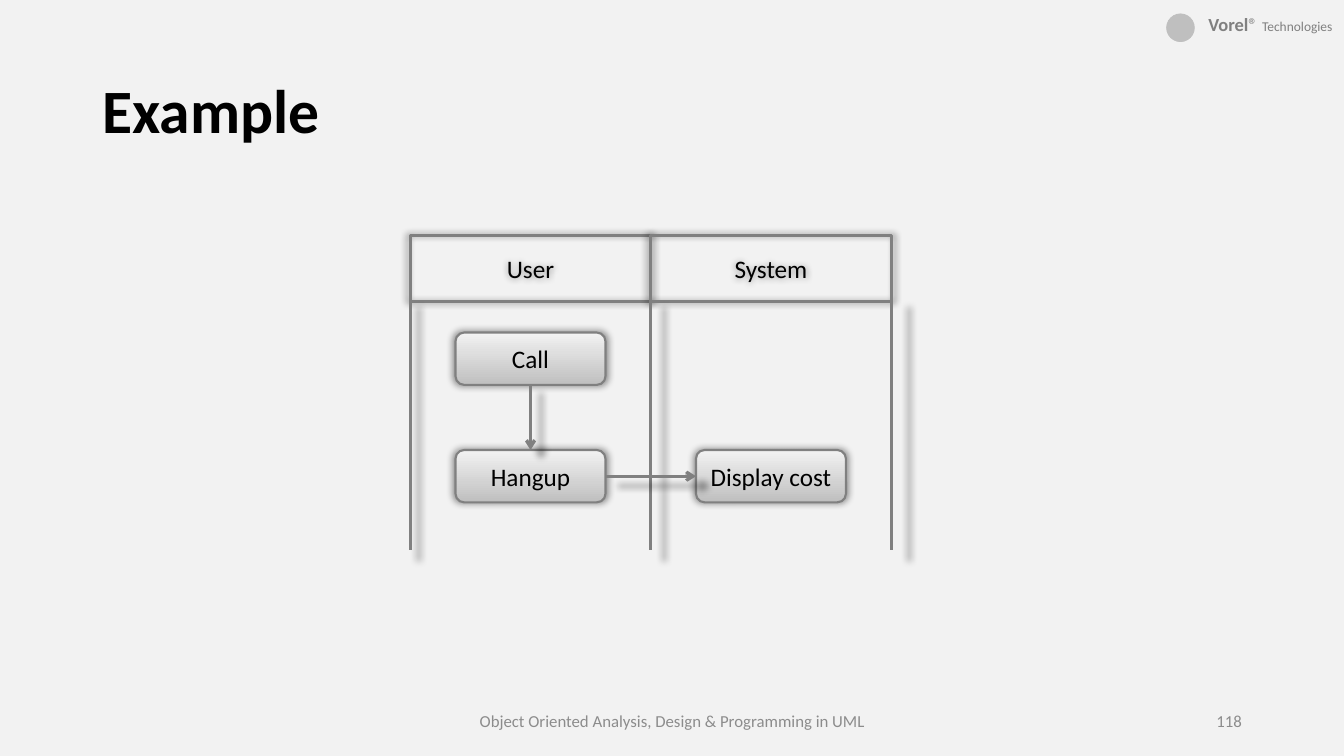
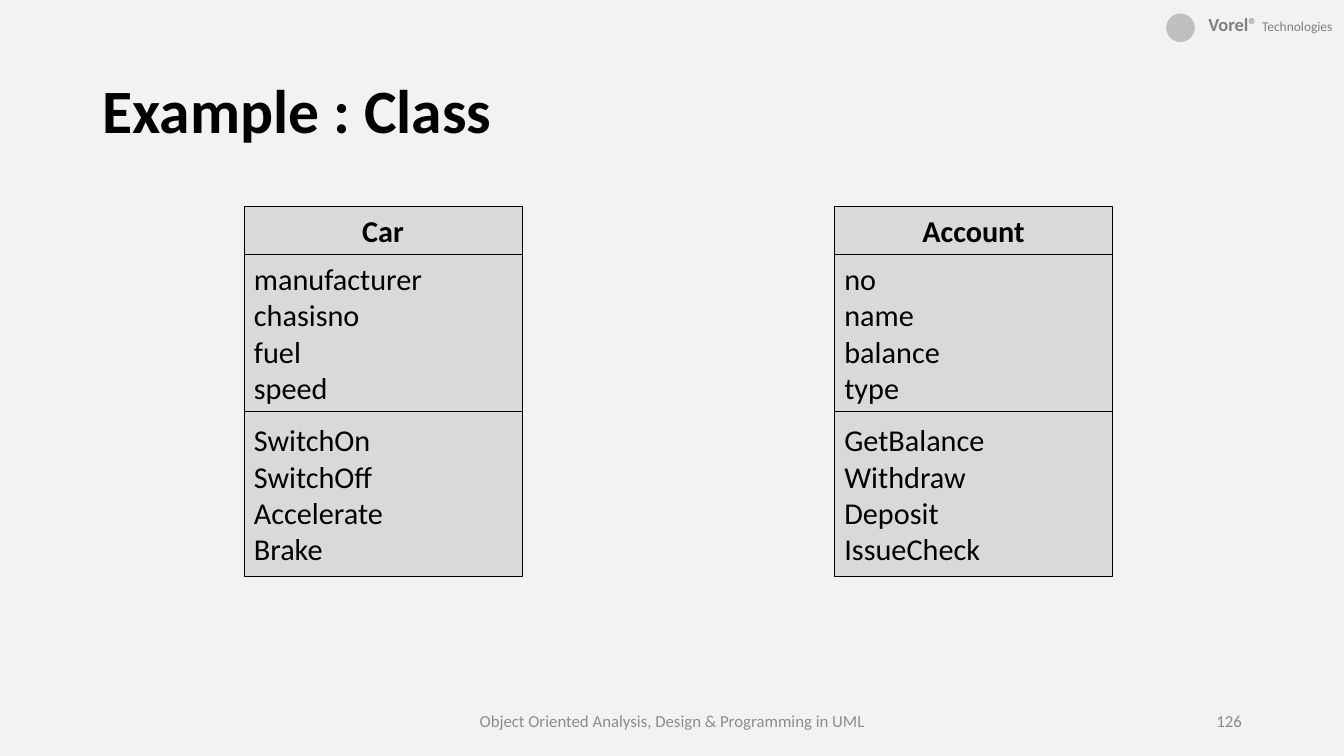
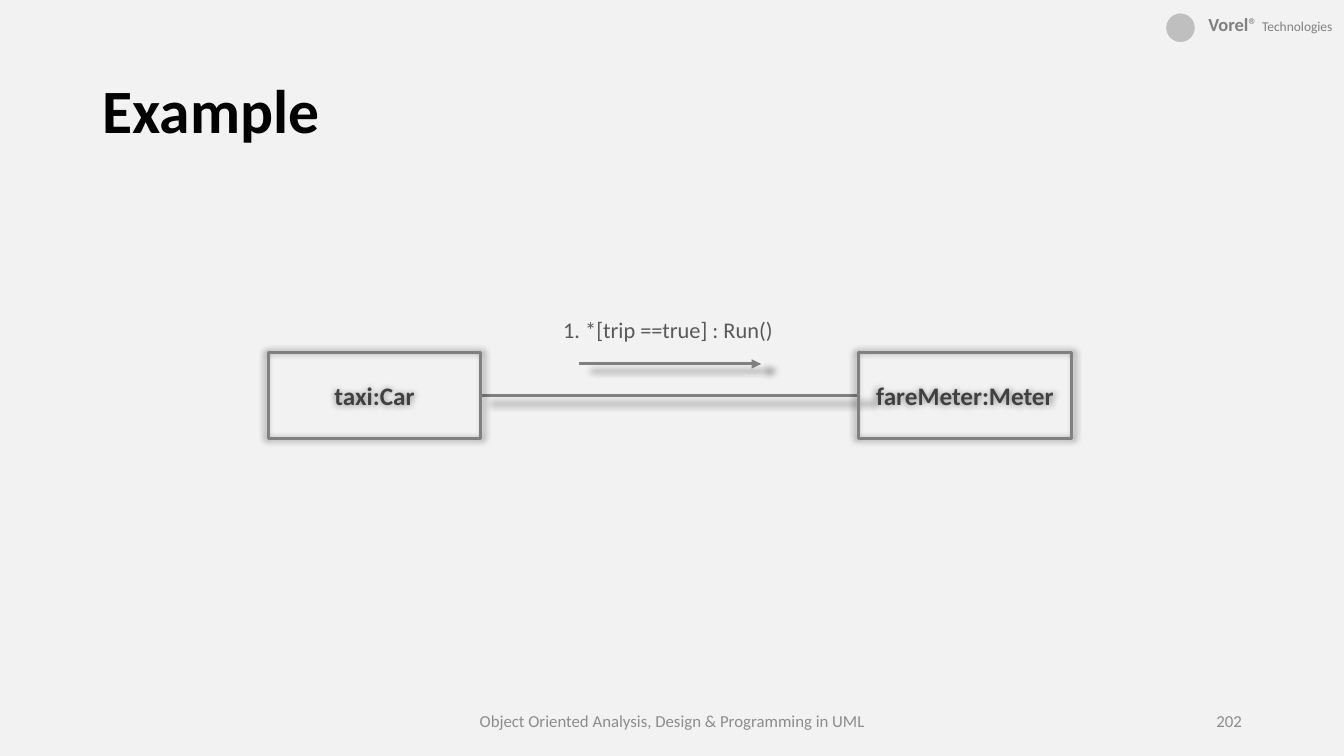
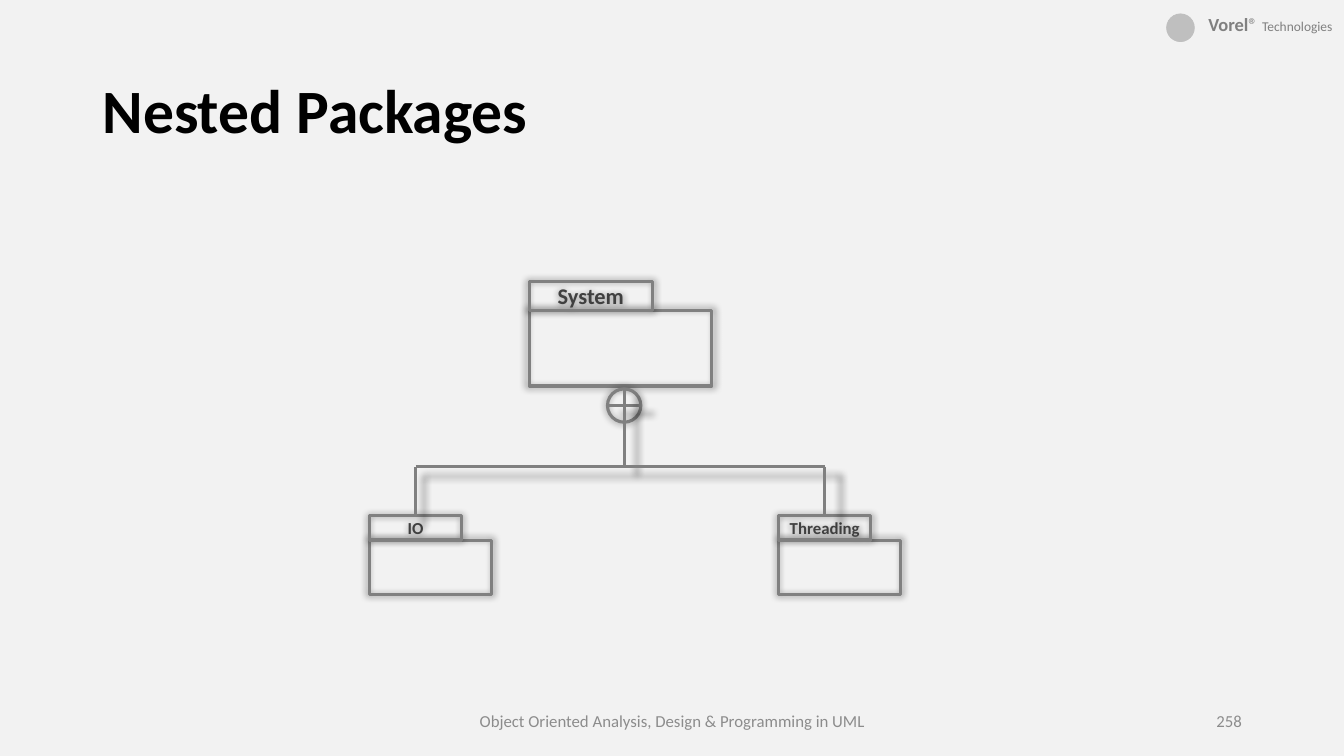
from dataclasses import dataclass
from typing import Optional

from lxml.etree import SubElement
from pptx import Presentation
from pptx.dml.color import RGBColor
from pptx.enum.shapes import MSO_CONNECTOR, MSO_SHAPE
from pptx.enum.text import MSO_ANCHOR, PP_ALIGN
from pptx.oxml.ns import qn
from pptx.util import Cm, Pt

FONT = "Calibri"
BLACK = RGBColor(0x00, 0x00, 0x00)
CHARCOAL = RGBColor(0x40, 0x40, 0x40)
LABEL_GREY = RGBColor(0x59, 0x59, 0x59)
LINE_GREY = RGBColor(0x80, 0x80, 0x80)
FOOTER_GREY = RGBColor(0x8C, 0x8C, 0x8C)
SILVER = RGBColor(0xBF, 0xBF, 0xBF)
CLASS_GREY = RGBColor(0xD9, 0xD9, 0xD9)
BACKGROUND = RGBColor(0xF2, 0xF2, 0xF2)

FOOTER = "Object Oriented Analysis, Design & Programming in UML"
LINE_WIDTH = 2.25


@dataclass(frozen=True)
class Box:
    """A rectangle in centimetres."""
    left: float
    top: float
    width: float
    height: float

    @property
    def right(self) -> float:
        return self.left + self.width

    @property
    def bottom(self) -> float:
        return self.top + self.height

    @property
    def centre_x(self) -> float:
        return self.left + self.width / 2

    @property
    def centre_y(self) -> float:
        return self.top + self.height / 2

    def lengths(self) -> tuple:
        return Cm(self.left), Cm(self.top), Cm(self.width), Cm(self.height)


@dataclass(frozen=True)
class ClassDiagram:
    name: str
    left: float
    attributes: str
    operations: str


@dataclass(frozen=True)
class Package:
    name: str
    tab: Box
    body_width: float
    body_height: float
    size: float

    @property
    def body(self) -> Box:
        return Box(self.tab.left, self.tab.bottom, self.body_width, self.body_height)


def add_run(paragraph, text: str, *, size: float, colour: RGBColor, bold: bool = False) -> None:
    run = paragraph.add_run()
    run.text = text
    run.font.name = FONT
    run.font.size = Pt(size)
    run.font.bold = bold
    run.font.color.rgb = colour


def write(frame, text: str, *, size: float = 18, colour: RGBColor = BLACK,
          bold: bool = False, align=PP_ALIGN.CENTER, anchor=MSO_ANCHOR.MIDDLE,
          wrap: bool = True, spacing: float = 1.0) -> None:
    """Fill a text frame, one paragraph for each line of text."""
    frame.word_wrap = wrap
    frame.vertical_anchor = anchor
    for index, line in enumerate(text.split("\n")):
        paragraph = frame.add_paragraph() if index else frame.paragraphs[0]
        paragraph.alignment = align
        paragraph.line_spacing = spacing
        add_run(paragraph, line, size=size, colour=colour, bold=bold)


def add_text(slide, box: Box, text: str, **text_format) -> None:
    write(slide.shapes.add_textbox(*box.lengths()).text_frame, text, **text_format)


def add_soft_shadow(effects) -> None:
    shadow = SubElement(effects, qn("a:outerShdw"), blurRad=str(Pt(5)),
                        sx="102000", sy="102000", algn="ctr", rotWithShape="0")
    colour = SubElement(shadow, qn("a:prstClr"), val="black")
    SubElement(colour, qn("a:alpha"), val="40000")


def add_box(slide, box: Box, text: str = "", *, kind=MSO_SHAPE.RECTANGLE,
            fill: Optional[RGBColor] = None, gradient: bool = False,
            line: RGBColor = LINE_GREY, width: float = LINE_WIDTH,
            shadow: bool = True, **text_format) -> None:
    shape = slide.shapes.add_shape(kind, *box.lengths())
    if gradient:
        shape.fill.gradient()
        shape.fill.gradient_angle = 90
        for stop, colour in zip(shape.fill.gradient_stops, (SILVER, BACKGROUND)):
            stop.color.rgb = colour
    elif fill is not None:
        shape.fill.solid()
        shape.fill.fore_color.rgb = fill
    else:
        shape.fill.background()
    shape.line.color.rgb = line
    shape.line.width = Pt(width)
    shape.shadow.inherit = False
    if shadow:
        add_soft_shadow(shape.element.spPr.find(qn("a:effectLst")))
    if text:
        write(shape.text_frame, text, **text_format)


def add_line(slide, start: tuple[float, float], end: tuple[float, float],
             arrow: str = "") -> None:
    connector = slide.shapes.add_connector(
        MSO_CONNECTOR.STRAIGHT, *(Cm(value) for value in start + end))
    connector.line.color.rgb = LINE_GREY
    connector.line.width = Pt(LINE_WIDTH)
    properties = connector.element.spPr
    if arrow:
        SubElement(properties.find(qn("a:ln")), qn("a:tailEnd"), type=arrow)
    add_soft_shadow(SubElement(properties, qn("a:effectLst")))


def prepare_layout(prs):
    """Set the shared background and title place, and return the layout."""
    background = prs.slide_master.background.fill
    background.solid()
    background.fore_color.rgb = BACKGROUND
    layout = prs.slide_layouts.get_by_name("Title Only")
    for placeholder in list(layout.placeholders):
        if placeholder.placeholder_format.idx:
            layout.shapes.element.remove(placeholder.element)
    title = layout.placeholders[0]
    title.left, title.top, title.width, title.height = Box(2.33, 1.02, 29.21, 3.68).lengths()
    return layout


def add_brand(slide) -> None:
    """Draw the brand line and move it to the layout that all slides share."""
    brand = slide.shapes.add_textbox(*Box(28.98, 0.03, 4.9, 1.14).lengths())
    frame = brand.text_frame
    frame.margin_left = frame.margin_right = Cm(0.3)
    frame.margin_top = frame.margin_bottom = Cm(0.15)
    write(frame, "Vorel", size=13.2, colour=LINE_GREY, bold=True, align=PP_ALIGN.RIGHT)
    add_run(frame.paragraphs[0], "® ", size=13.2, colour=LINE_GREY)
    add_run(frame.paragraphs[0], "Technologies", size=9.6, colour=LINE_GREY)
    add_box(slide, Box(29.4, 0.35, 0.7, 0.7), kind=MSO_SHAPE.OVAL, fill=SILVER,
            line=SILVER, width=0.5, shadow=False)
    for shape in list(slide.shapes)[-2:]:
        slide.slide_layout.shapes.element.append(shape.element)


def add_titled_slide(prs, layout, title: str, number: int):
    slide = prs.slides.add_slide(layout)
    write(slide.shapes.title.text_frame, title, size=44, bold=True,
          align=PP_ALIGN.LEFT, spacing=0.9)
    add_text(slide, Box(11.23, 17.65, 11.43, 1.02), FOOTER, size=12, colour=FOOTER_GREY)
    add_text(slide, Box(23.93, 17.65, 7.62, 1.02), str(number), size=12,
             colour=FOOTER_GREY, align=PP_ALIGN.RIGHT)
    return slide


def draw_swimlanes(slide) -> None:
    lane_left, lane_width, lane_end = 10.34, 6.06, 13.87
    headers = [Box(lane_left + lane_width * lane, 5.94, lane_width, 1.65) for lane in range(2)]
    for header, name in zip(headers, ("User", "System")):
        add_box(slide, header, name)
    for x in (headers[0].left, headers[1].left, headers[1].right):
        add_line(slide, (x, headers[0].bottom), (x, lane_end))

    call, hangup, display = (
        Box(headers[lane].left + 1.14, top, 3.78, 1.32)
        for lane, top in ((0, 8.38), (0, 11.34), (1, 11.34)))
    for activity, name in ((call, "Call"), (hangup, "Hangup"), (display, "Display cost")):
        add_box(slide, activity, name, kind=MSO_SHAPE.ROUNDED_RECTANGLE,
                gradient=True, width=1.5)
    add_line(slide, (call.centre_x, call.bottom), (call.centre_x, hangup.top), "arrow")
    add_line(slide, (hangup.right, hangup.centre_y), (display.left, hangup.centre_y), "arrow")


def draw_classes(slide) -> None:
    diagrams = (
        ClassDiagram("Car", 6.15, "manufacturer\nchasisno\nfuel\nspeed",
                     "SwitchOn\nSwitchOff\nAccelerate\nBrake"),
        ClassDiagram("Account", 21.03, "no\nname\nbalance\ntype",
                     "GetBalance\nWithdraw\nDeposit\nIssueCheck"),
    )
    for diagram in diagrams:
        top = 5.21
        for text, height, is_name in ((diagram.name, 1.2, True),
                                      (diagram.attributes, 3.96, False),
                                      (diagram.operations, 4.16, False)):
            add_box(slide, Box(diagram.left, top, 7.01, height), text, fill=CLASS_GREY,
                    line=BLACK, width=0.5, shadow=False, size=21.6, bold=is_name,
                    align=PP_ALIGN.CENTER if is_name else PP_ALIGN.LEFT)
            top += height


def draw_collaboration(slide) -> None:
    taxi, meter = (Box(left, 8.89, 5.36, 2.16) for left in (6.76, 21.64))
    add_line(slide, (taxi.right, taxi.centre_y), (meter.left, taxi.centre_y))
    for participant, name in ((taxi, "taxi:Car"), (meter, "fareMeter:Meter")):
        add_box(slide, participant, name, colour=CHARCOAL, bold=True)
    add_line(slide, (14.6, 9.17), (19.18, 9.17), "triangle")
    add_text(slide, Box(13.51, 7.85, 6.65, 0.94), "1. *[trip ==true] : Run()",
             size=16, colour=LABEL_GREY, anchor=MSO_ANCHOR.TOP)


def draw_packages(slide) -> None:
    system = Package("System", Box(13.34, 7.09, 3.1, 0.73), 4.6, 1.91, 16)
    nested = [Package(name, Box(left, 13, 2.31, 0.61), 3.07, 1.37, 12)
              for name, left in (("IO", 9.32), ("Threading", 19.63))]
    for package in (system, *nested):
        add_box(slide, package.body)
        add_box(slide, package.tab, package.name, size=package.size,
                colour=CHARCOAL, bold=True, wrap=False)

    anchor = Box(15.31, 9.8, 0.84, 0.84)
    branch_y = 11.76
    add_box(slide, anchor, kind=MSO_SHAPE.OVAL)
    add_line(slide, (anchor.left, anchor.centre_y), (anchor.right, anchor.centre_y))
    add_line(slide, (anchor.centre_x, anchor.top), (anchor.centre_x, branch_y))
    add_line(slide, *((package.tab.centre_x, branch_y) for package in nested))
    for package in nested:
        x = package.tab.centre_x
        add_line(slide, (x, branch_y), (x, package.tab.top))


def main() -> None:
    prs = Presentation()
    prs.slide_width, prs.slide_height = Cm(33.87), Cm(19.05)
    layout = prepare_layout(prs)
    contents = (
        ("Example", 118, draw_swimlanes),
        ("Example : Class", 126, draw_classes),
        ("Example", 202, draw_collaboration),
        ("Nested Packages", 258, draw_packages),
    )
    for title, number, draw in contents:
        draw(add_titled_slide(prs, layout, title, number))
    add_brand(prs.slides[0])
    prs.save("out.pptx")


if __name__ == "__main__":
    main()
